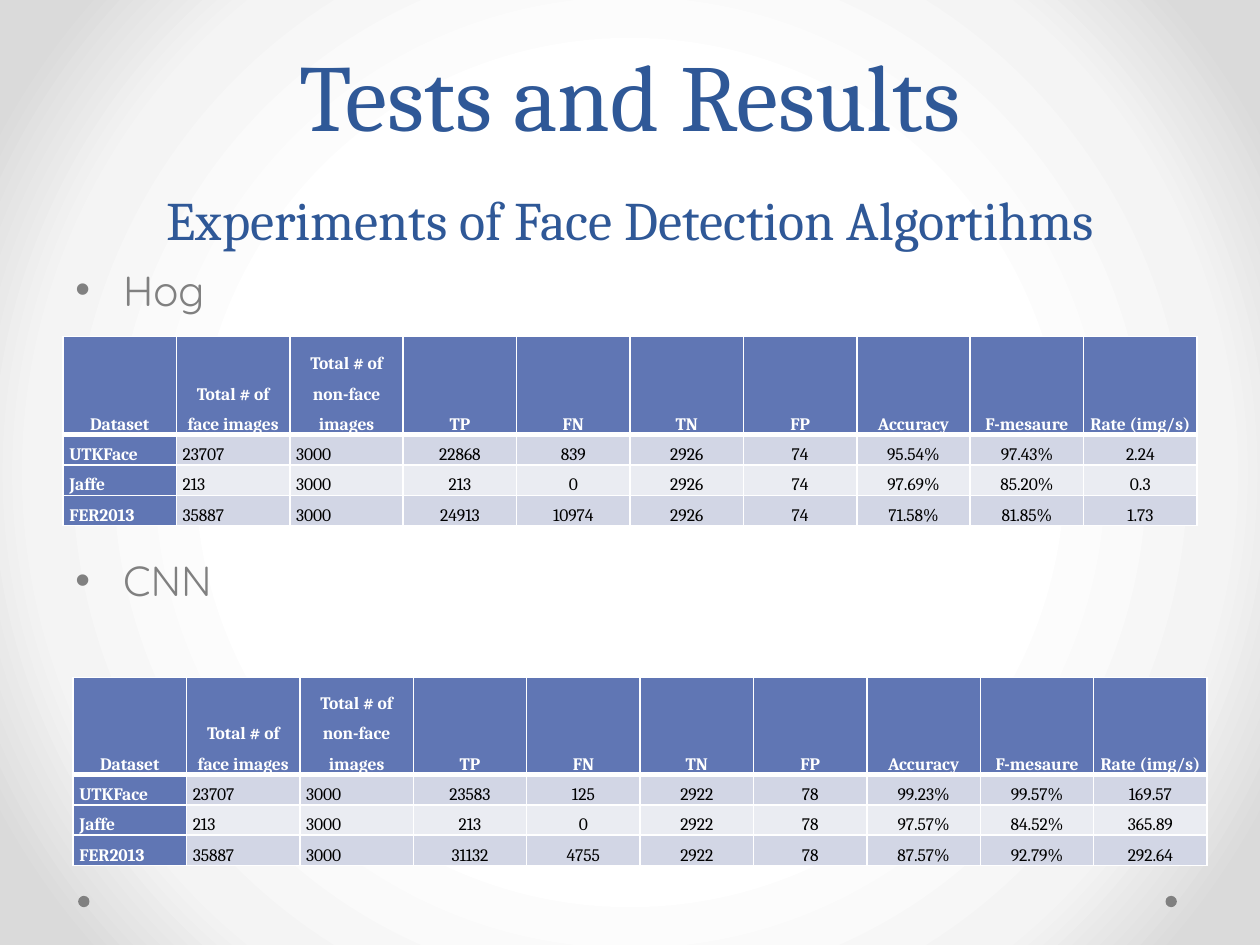
from lxml import etree
from pptx import Presentation
from pptx.dml.color import RGBColor
from pptx.enum.shapes import MSO_SHAPE
from pptx.enum.text import MSO_ANCHOR, MSO_AUTO_SIZE, PP_ALIGN
from pptx.oxml import parse_xml
from pptx.oxml.ns import nsdecls, qn
from pptx.util import Inches, Pt

WIDTH, HEIGHT = Inches(10), Inches(7.5)
OVAL = MSO_SHAPE.OVAL
BOTTOM, TOP = MSO_ANCHOR.BOTTOM, MSO_ANCHOR.TOP
LEFT, CENTER = PP_ALIGN.LEFT, PP_ALIGN.CENTER
NO_FIT = MSO_AUTO_SIZE.NONE
TITLE_ONLY = 5

HEADINGS = ["Dataset", "Total # of face images", "Total # of non-face images", "TP", "FN",
            "TN", "FP", "Accuracy", "F-mesaure", "Rate (img/s)"]
DATASETS = [["UTKFace", "23707", "3000"], ["Jaffe", "213", "3000"], ["FER2013", "35887", "3000"]]
HOG = [["22868", "839", "2926", "74", "95.54%", "97.43%", "2.24"],
       ["213", "0", "2926", "74", "97.69%", "85.20%", "0.3"],
       ["24913", "10974", "2926", "74", "71.58%", "81.85%", "1.73"]]
CNN = [["23583", "125", "2922", "78", "99.23%", "99.57%", "169.57"],
       ["213", "0", "2922", "78", "97.57%", "84.52%", "365.89"],
       ["31132", "4755", "2922", "78", "87.57%", "92.79%", "292.64"]]


def color(value):
    return RGBColor.from_string(value)


def apply(target, values):
    for name, value in values.items():
        setattr(target, name, value)


class ResultsSlide:
    """Holds the style and the current slide, and places elements by shares of its size."""

    heading_font, body_font = "Cambria", "Quicksand"
    blue, gray, header = "2F5897", "808080", "6076B4"
    white, black = "FFFFFF", "000000"
    bands = ["D2D6E5", "EAECF2"]

    def __init__(self, presentation):
        layout = presentation.slide_layouts[TITLE_ONLY]
        self.slide = presentation.slides.add_slide(layout)

    def box(self, left, top, width, height):
        return [int(WIDTH * left), int(HEIGHT * top), int(WIDTH * width), int(HEIGHT * height)]

    def style(self, font, name, size, hex_color, bold=False):
        apply(font, {"name": name, "size": Pt(size), "bold": bold})
        font.color.rgb = color(hex_color)

    def background(self, stops):
        self.slide.background.fill.solid()
        properties = self.slide.element.find(".//" + qn("p:bgPr"))
        stop_list = "".join(f'<a:gs pos="{share * 1000}"><a:srgbClr val="{value}"/></a:gs>'
                            for share, value in stops)
        properties.replace(properties[0], parse_xml(
            f'<a:gradFill {nsdecls("a")} rotWithShape="1"><a:gsLst>{stop_list}</a:gsLst>'
            '<a:path path="circle"><a:fillToRect l="50000" t="50000" r="50000" b="50000"/>'
            '</a:path></a:gradFill>'))

    def dot(self, *area):
        shape = self.slide.shapes.add_shape(OVAL, *self.box(*area))
        shape.shadow.inherit = False
        shape.fill.solid()
        shape.fill.fore_color.rgb = color(self.gray)
        shape.line.fill.background()

    def title(self, lines, *area):
        shape = self.slide.shapes.title
        apply(shape, dict(zip(["left", "top", "width", "height"], self.box(*area))))
        frame = shape.text_frame
        apply(frame, {"vertical_anchor": BOTTOM, "auto_size": NO_FIT, "word_wrap": True})
        paragraph = frame.paragraphs[0]
        apply(paragraph, {"alignment": CENTER, "line_spacing": Pt(58)})
        for index, (text, size) in enumerate(lines):
            if index:
                paragraph.add_line_break()
            run = paragraph.add_run()
            run.text = text
            self.style(run.font, self.heading_font, size, self.blue)

    def bullets(self, items, gap, *area):
        frame = self.slide.shapes.add_textbox(*self.box(*area)).text_frame
        apply(frame, {"vertical_anchor": TOP, "auto_size": NO_FIT, "word_wrap": True})
        for index, text in enumerate(items):
            paragraph = frame.add_paragraph() if index else frame.paragraphs[0]
            apply(paragraph, {"alignment": LEFT, "space_before": Pt(gap * index)})
            properties = paragraph._p.get_or_add_pPr()
            properties.set("marL", str(Inches(0.38)))
            properties.set("indent", str(-Inches(0.38)))
            font = etree.SubElement(properties, qn("a:buFont"))
            font.set("typeface", "Arial")
            etree.SubElement(properties, qn("a:buChar")).set("char", "•")
            run = paragraph.add_run()
            run.text = text
            self.style(run.font, self.body_font, 24, self.gray)

    def borders(self, cell, top, bottom):
        properties = cell._tc.get_or_add_tcPr()
        widths = {"lnL": 1, "lnR": 1, "lnT": top, "lnB": bottom}
        for index, (tag, width) in enumerate(widths.items()):
            properties.insert(index, parse_xml(
                f'<a:{tag} {nsdecls("a")} w="{Pt(width)}"><a:solidFill>'
                f'<a:srgbClr val="{self.white}"/></a:solidFill></a:{tag}>'))

    def cell(self, cell, text, row, column):
        is_header = row == 0 or column == 0
        apply(cell, {"margin_left": Inches(0.05), "margin_right": Inches(0.05),
                     "margin_top": 0, "margin_bottom": 0, "vertical_anchor": BOTTOM})
        cell.fill.solid()
        cell.fill.fore_color.rgb = color(self.header if is_header else self.bands[(row - 1) % 2])
        self.borders(cell, 3 if row == 1 else 1, 3 if row == 0 else 1)
        paragraph = cell.text_frame.paragraphs[0]
        apply(paragraph, {"alignment": CENTER if row == 0 or column > 2 else LEFT,
                          "line_spacing": 1.5})
        run = paragraph.add_run()
        run.text = text
        self.style(run.font, self.heading_font, 10,
                   self.white if is_header else self.black, is_header)

    def table(self, results, head, line, *area):
        rows = [HEADINGS] + [names + values for names, values in zip(DATASETS, results)]
        table = self.slide.shapes.add_table(len(rows), len(HEADINGS), *self.box(*area)).table
        apply(table, {"first_row": False, "horz_banding": False})
        for row, texts in enumerate(rows):
            table.rows[row].height = Inches(line if row else head)
            for column, text in enumerate(texts):
                self.cell(table.cell(row, column), text, row, column)


presentation = Presentation()
apply(presentation, {"slide_width": WIDTH, "slide_height": HEIGHT})
slide = ResultsSlide(presentation)
slide.background([(0, "FFFFFF"), (50, "FFFFFF"), (76, "F4F4F4"), (92, "DADADA"), (100, "DADADA")])
for left in (0.925, 0.062):
    slide.dot(left, 0.948, 0.009, 0.012)
slide.title([("Tests and Results", 54), ("Experiments of Face Detection Algortihms", 31)],
            0.05, 0.04, 0.9, 0.233)
slide.bullets(["Hog", "CNN"], 137, 0.05, 0.273, 0.9, 0.66)
slide.table(HOG, 0.78, 0.22, 0.05, 0.356, 0.9, 0.193)
slide.table(CNN, 0.77, 0.21, 0.058, 0.717, 0.9, 0.192)
presentation.save("out.pptx")
